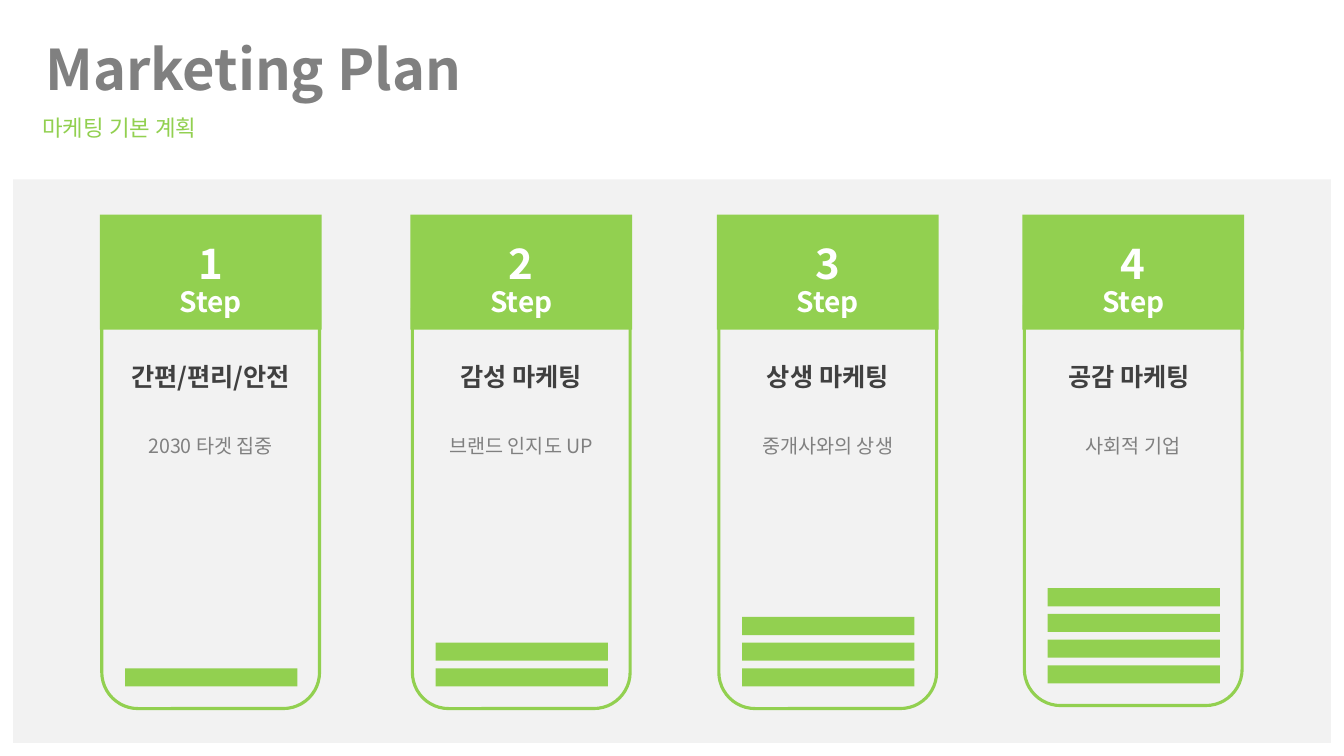
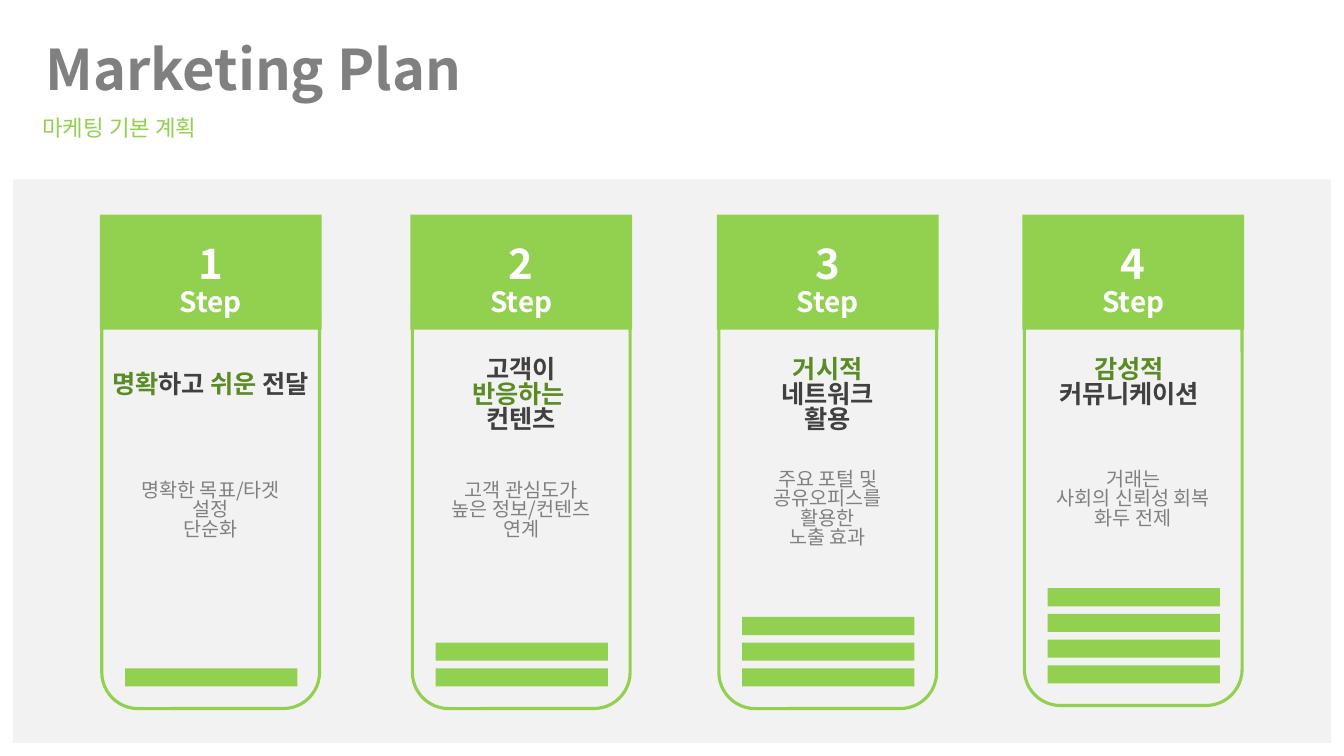
from collections import namedtuple

from lxml.etree import SubElement
from pptx import Presentation
from pptx.dml.color import RGBColor
from pptx.enum.shapes import MSO_SHAPE
from pptx.enum.text import MSO_ANCHOR, MSO_AUTO_SIZE, PP_ALIGN
from pptx.oxml.ns import qn
from pptx.util import Inches, Pt

COLORS = {
    "green": "92D050",
    "accent": "5A8B25",
    "panel": "F2F2F2",
    "dark": "404040",
    "gray": "808080",
    "white": "FFFFFF",
}
FONT = "Noto Sans CJK KR"
STYLES = {
    "title": {"size": Pt(40), "bold": True},
    "subtitle": {"size": Pt(16), "bold": False},
    "number": {"size": Pt(30), "bold": True},
    "step": {"size": Pt(20), "bold": True},
    "heading": {"size": Pt(18), "bold": True},
    "detail": {"size": Pt(14), "bold": False},
}
TIGHT = 0.83
PANEL = (0.13, 1.78, 13.07, 5.59)
CARD_TOP, CARD_WIDTH = 2.13, 2.2
BAR_HEIGHT, BAR_PITCH = 0.18, 0.255

Column = namedtuple("Column", "left lift heading_shift")
COLUMNS = [
    Column(0.99, 0, 0),
    Column(4.07, 0, 0),
    Column(7.11, 0, 0),
    Column(10.14, 0.03, -0.04),
]

Card = namedtuple("Card", "heading_top heading detail_top detail")
PLANS = [
    [
        Card(3.59, [[("간편/편리/안전", "dark")]], 4.29, ["2030 타겟 집중"]),
        Card(3.59, [[("감성 마케팅", "dark")]], 4.29, ["브랜드 인지도 UP"]),
        Card(3.59, [[("상생 마케팅", "dark")]], 4.29, ["중개사와의 상생"]),
        Card(3.59, [[("공감 마케팅", "dark")]], 4.29, ["사회적 기업"]),
    ],
    [
        Card(3.66,
             [[("명확", "accent"), ("하고 ", "dark"), ("쉬운", "accent"), (" 전달", "dark")]],
             4.73, ["명확한 목표/타겟 설정", "단순화"]),
        Card(3.51,
             [[("고객이", "dark")], [("반응하는 ", "accent")], [("컨텐츠", "dark")]],
             4.73, ["고객 관심도가", "높은 정보/컨텐츠 연계"]),
        Card(3.51,
             [[("거시적", "accent")], [("네트워크", "dark")], [("활용", "dark")]],
             4.62, ["주요 포털 및", "공유오피스를 활용한", "노출 효과"]),
        Card(3.51,
             [[("감성적", "accent")], [("커뮤니케이션", "dark")]],
             4.62, ["거래는", "사회의 신뢰성 회복", "화두 전제"]),
    ],
]


def color(name):
    return RGBColor.from_string(COLORS[name])


def place(shape, box):
    for name, value in zip(("left", "top", "width", "height"), box):
        setattr(shape, name, Inches(value))


def add_block(slide, kind, box, fill=None, line=None):
    shape = slide.shapes.add_shape(kind, *map(Inches, box))
    shape.shadow.inherit = False
    if fill:
        shape.fill.solid()
        shape.fill.fore_color.rgb = color(fill)
    else:
        shape.fill.background()
    if line:
        shape.line.color.rgb = color(line)
        shape.line.width = Pt(2.25)
    else:
        shape.line.fill.background()
    return shape


def write(frame, paragraphs, alignment=PP_ALIGN.CENTER, spacing=TIGHT):
    settings = {"word_wrap": True, "auto_size": MSO_AUTO_SIZE.NONE}
    for name, value in settings.items():
        setattr(frame, name, value)
    layout = {"alignment": alignment, "line_spacing": spacing,
              "space_before": Pt(0), "space_after": Pt(0)}
    for index, runs in enumerate(paragraphs):
        paragraph = frame.add_paragraph() if index else frame.paragraphs[0]
        for name, value in layout.items():
            setattr(paragraph, name, value)
        for text, style, tone in runs:
            run = paragraph.add_run()
            run.text = text
            for name, value in STYLES[style].items():
                setattr(run.font, name, value)
            run.font.name = FONT
            run.font.color.rgb = color(tone)
            east_asian = SubElement(run.font._element, qn("a:ea"))
            east_asian.set("typeface", FONT)


def add_text(slide, box, paragraphs, spacing=TIGHT):
    text_box = slide.shapes.add_textbox(*map(Inches, box))
    write(text_box.text_frame, paragraphs, spacing=spacing)


def add_header(slide):
    title = slide.shapes.title
    place(title, (0.35, 0.18, 11.54, 1))
    title.text_frame.vertical_anchor = MSO_ANCHOR.MIDDLE
    write(title.text_frame, [[("Marketing Plan", "title", "gray")]], PP_ALIGN.LEFT, 1.0)
    subtitle = slide.placeholders[1]
    place(subtitle, (-0.37, 1.13, 3.11, 0.41))
    write(subtitle.text_frame, [[("마케팅 기본 계획", "subtitle", "green")]])
    properties = subtitle.text_frame.paragraphs[0]._p.get_or_add_pPr()
    for name in ("marL", "indent"):
        properties.set(name, "0")
    SubElement(properties, qn("a:buNone"))


def add_bars(slide, left, bottom, count):
    for index in range(count):
        top = bottom - BAR_HEIGHT - index * BAR_PITCH
        add_block(slide, MSO_SHAPE.RECTANGLE, (left, top, 1.71, BAR_HEIGHT), "green")


def add_card(slide, column, number, card):
    left, lift, shift = column
    center = left + CARD_WIDTH / 2
    add_block(slide, MSO_SHAPE.ROUNDED_RECTANGLE,
              (left + 0.02, CARD_TOP + 0.6 - lift, 2.16, 4.3), line="green")
    add_block(slide, MSO_SHAPE.RECTANGLE, (left, CARD_TOP, CARD_WIDTH, 1.14), "green")
    add_text(slide, (center - 0.5, CARD_TOP + 0.23, 1, 0.91),
             [[(f"{number} ", "number", "white"), ("Step", "step", "white")]], 0.9)
    heading = [[(text, "heading", tone) for text, tone in line] for line in card.heading]
    add_text(slide, (center - 1.15 + shift, card.heading_top, 2.3, 0.1 + 0.3 * len(heading)),
             heading)
    detail = [[(text, "detail", "gray")] for text in card.detail]
    add_text(slide, (center - 0.89, card.detail_top, 1.78, 0.1 + 0.24 * len(detail)), detail)
    add_bars(slide, left + 0.25, CARD_TOP + 4.68 - lift, number)


def add_plan_slide(presentation, cards):
    slide = presentation.slides.add_slide(presentation.slide_layouts[1])
    add_block(slide, MSO_SHAPE.RECTANGLE, PANEL, "panel")
    add_header(slide)
    for number, (column, card) in enumerate(zip(COLUMNS, cards), 1):
        add_card(slide, column, number, card)


def main():
    presentation = Presentation()
    presentation.slide_width = Inches(13.33)
    presentation.slide_height = Inches(7.5)
    for cards in PLANS:
        add_plan_slide(presentation, cards)
    presentation.save("out.pptx")


if __name__ == "__main__":
    main()
